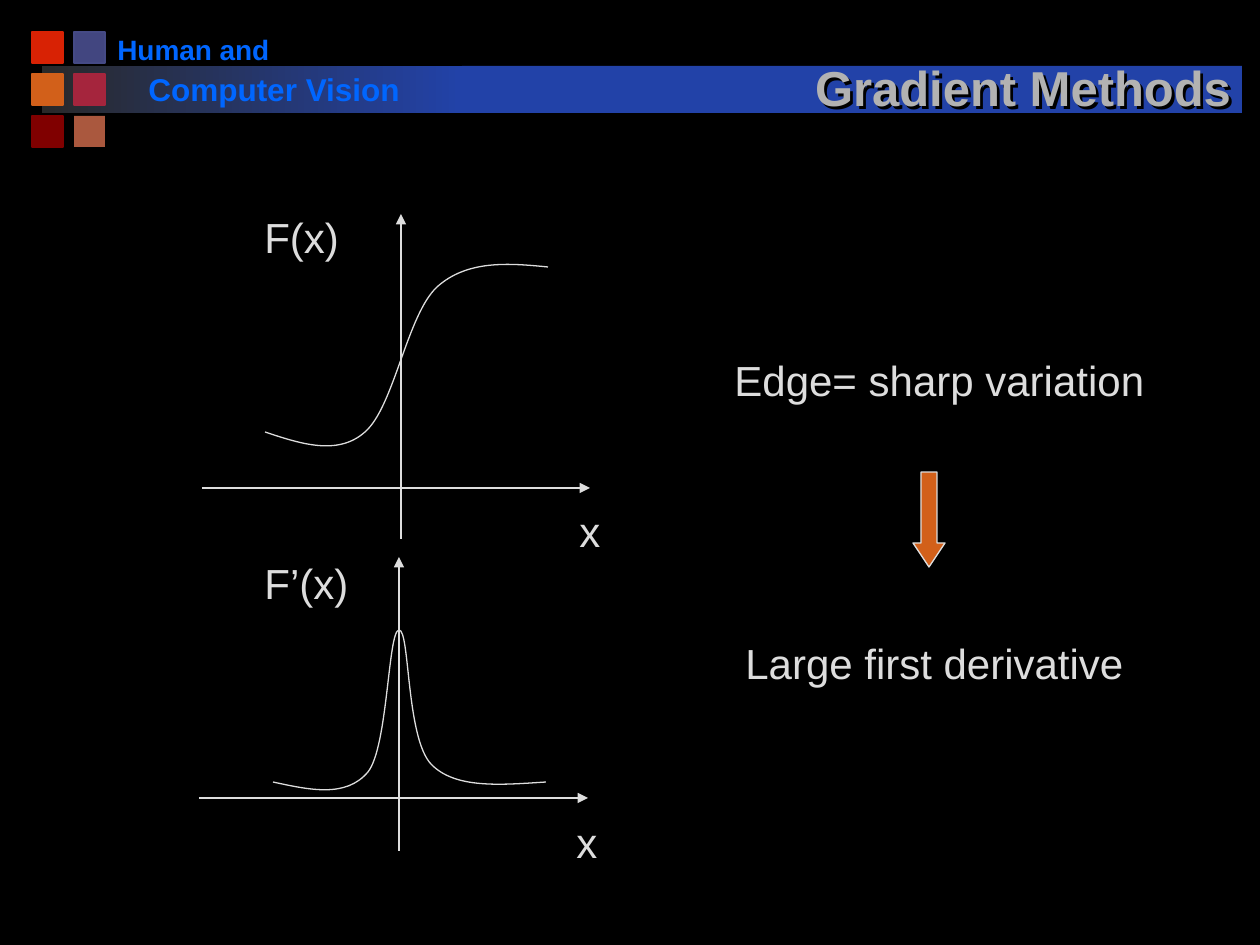
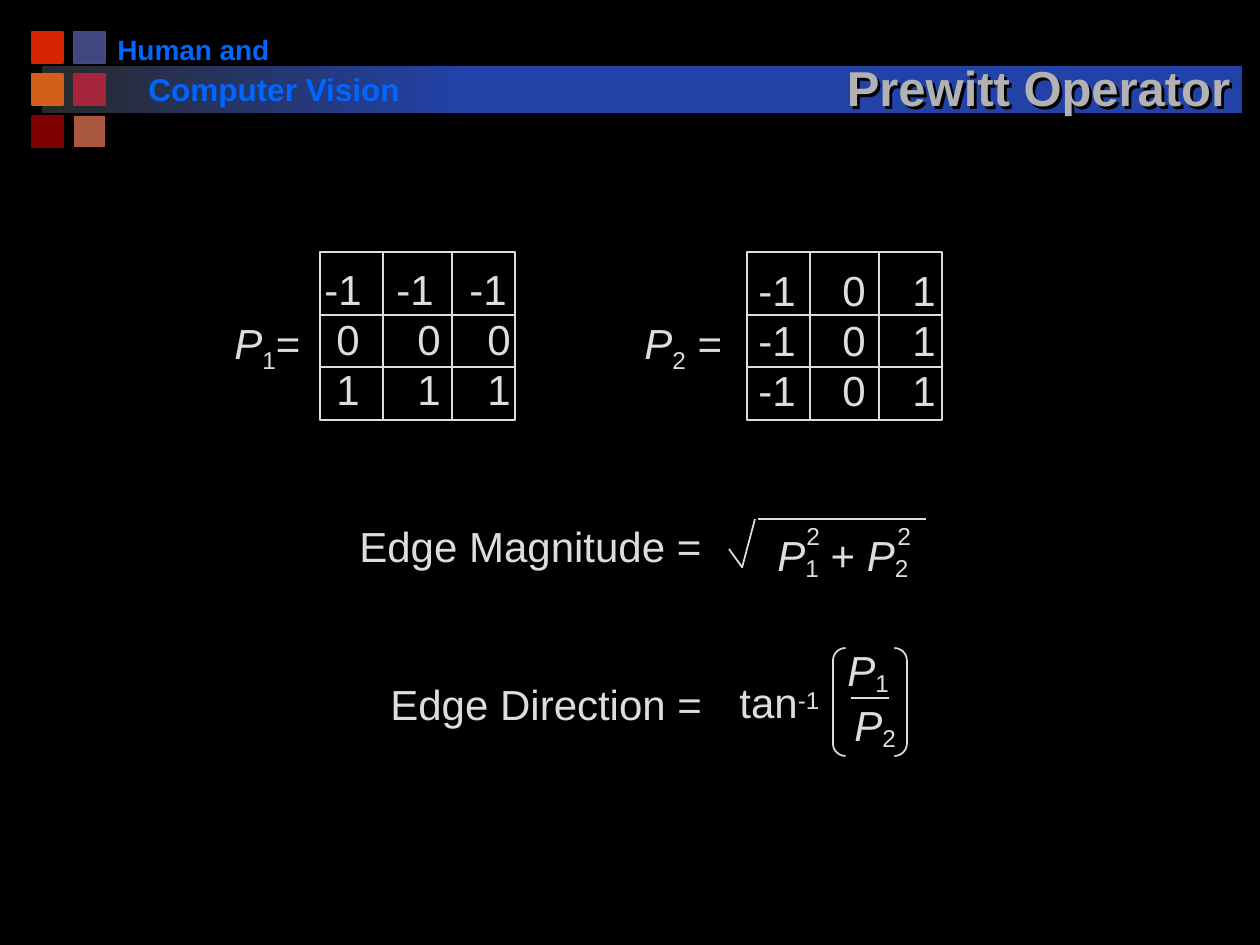
from dataclasses import dataclass
from typing import NamedTuple, Optional

from lxml import etree
from pptx import Presentation
from pptx import util as u
from pptx.dml.color import RGBColor
from pptx.enum import shapes, text
from pptx.oxml import ns

PX = u.Inches(1) / 126
FONT = "Arial"

BLACK = RGBColor(0x00, 0x00, 0x00)
INK = RGBColor(0xDD, 0xDD, 0xDD)
TITLE_GREY = RGBColor(0xB2, 0xB2, 0xB2)
COURSE_BLUE = RGBColor(0x00, 0x66, 0xFF)
BAND_BLUE = RGBColor(0x22, 0x42, 0xA8)
BAND_DARK = RGBColor(0x29, 0x29, 0x29)
RED = RGBColor(0xD8, 0x22, 0x04)
INDIGO = RGBColor(0x42, 0x46, 0x80)
INDIGO_EDGE = RGBColor(0x45, 0x4A, 0x85)
ORANGE = RGBColor(0xD2, 0x60, 0x1A)
CRIMSON = RGBColor(0xA5, 0x25, 0x3D)
MAROON = RGBColor(0x80, 0x00, 0x00)
BROWN = RGBColor(0xAA, 0x58, 0x3E)

# Rows of (fill, edge) for the squares in the corner
SQUARES = (
    ((RED, RED), (INDIGO, INDIGO_EDGE)),
    ((ORANGE, ORANGE), (CRIMSON, CRIMSON)),
    ((MAROON, MAROON), (BROWN, None)),
)


class Point(NamedTuple):
    x: int
    y: int


class Box(NamedTuple):
    left: int
    top: int
    width: int
    height: int


class Run(NamedTuple):
    words: str
    italic: bool = False
    baseline: int = 0


class WeightRow(NamedTuple):
    weights: tuple[int, ...]
    starts: tuple[int, ...]  # px from the left edge of the text


@dataclass(frozen=True)
class Label:
    box: Box
    runs: tuple[Run, ...]
    size: int = 24
    color: RGBColor = INK
    bold: bool = False


@dataclass(frozen=True)
class Plot:
    x_axis: tuple[Point, Point]
    y_axis: tuple[Point, Point]
    name: Label
    variable: Label
    curve: tuple[Point, ...]  # start, then three Bézier points per piece


@dataclass(frozen=True)
class Mask:
    left: int
    weights_box: Box
    rows: tuple[WeightRow, ...]
    name: Label


def emu(px: int) -> u.Emu:
    return u.Emu(round(px * PX))


def plain(words: str, left: int, top: int, width: int, height: int = 63,
          **style) -> Label:
    return Label(Box(left, top, width, height), (Run(words),), **style)


def indexed(index: str, drop: int, *rest: Run) -> tuple[Run, ...]:
    return (Run("P", italic=True), Run(index, baseline=drop), *rest)


# Drawing helpers
def format_run(run, size: int, color: RGBColor, bold: bool = False,
               italic: bool = False) -> None:
    style = {"name": FONT, "size": u.Pt(size), "bold": bold, "italic": italic}
    for key, value in style.items():
        setattr(run.font, key, value)
    run.font.color.rgb = color


def add_label(slide, label: Label):
    box = slide.shapes.add_textbox(*map(emu, label.box))
    box.text_frame.word_wrap = False
    for part in label.runs:
        run = box.text_frame.paragraphs[0].add_run()
        run.text = part.words
        format_run(run, label.size, label.color, label.bold, part.italic)
        if part.baseline:
            run.font._element.set("baseline", str(part.baseline * 1000))
    return box


def add_block(slide, kind, box: Box, fill: Optional[RGBColor],
              edge: Optional[RGBColor], weight: float = 1):
    block = slide.shapes.add_shape(kind, *map(emu, box))
    block.shadow.inherit = False
    if fill is None:
        block.fill.background()
    else:
        block.fill.solid()
        block.fill.fore_color.rgb = fill
    if edge is None:
        block.line.fill.background()
    else:
        block.line.color.rgb = edge
        block.line.width = u.Pt(weight)
    return block


def add_rule(slide, start: Point, end: Point, weight: float = 1,
             arrow: bool = False) -> None:
    rule = slide.shapes.add_connector(
        shapes.MSO_CONNECTOR.STRAIGHT, *map(emu, (*start, *end)))
    rule.line.color.rgb = INK
    rule.line.width = u.Pt(weight)
    if arrow:
        etree.SubElement(rule.line._get_or_add_ln(), ns.qn("a:tailEnd"),
                         type="triangle")
    etree.SubElement(rule._element.spPr, ns.qn("a:effectLst"))


def add_curve(slide, points: tuple[Point, ...]) -> None:
    builder = slide.shapes.build_freeform(*map(emu, points[0]))
    builder.add_line_segments([(emu(x), emu(y)) for x, y in points[1:]],
                              close=False)
    curve = builder.convert_to_shape()
    # Every three straight segments become one Bézier piece
    segments = list(curve._element.iter(ns.qn("a:lnTo")))
    for i in range(0, len(segments), 3):
        piece = etree.Element(ns.qn("a:cubicBezTo"))
        segments[i].addprevious(piece)
        for segment in segments[i:i + 3]:
            piece.append(segment[0])
            segment.getparent().remove(segment)
    curve.shadow.inherit = False
    curve.fill.background()
    curve.line.color.rgb = INK
    curve.line.width = u.Pt(0.75)


def add_plot(slide, plot: Plot) -> None:
    for axis in (plot.x_axis, plot.y_axis):
        add_rule(slide, *axis, weight=0.75, arrow=True)
    add_label(slide, plot.name)
    add_label(slide, plot.variable)
    add_curve(slide, plot.curve)


def add_mask(slide, mask: Mask) -> None:
    frame = slide.shapes.add_textbox(*map(emu, mask.weights_box)).text_frame
    frame.word_wrap = True
    for i, row in enumerate(mask.rows):
        paragraph = frame.add_paragraph() if i else frame.paragraphs[0]
        tabs = etree.SubElement(paragraph._p.get_or_add_pPr(), ns.qn("a:tabLst"))
        for start in filter(None, row.starts):
            etree.SubElement(tabs, ns.qn("a:tab"), pos=str(emu(start)), algn="l")
        run = paragraph.add_run()
        run.text = ("\t" if row.starts[0] else "") + "\t".join(map(str, row.weights))
        format_run(run, 24, INK)

    left, top, right, bottom = mask.left, 252, mask.left + 195, 420
    add_block(slide, shapes.MSO_SHAPE.RECTANGLE,
              Box(left, top, right - left, bottom - top), None, INK, 0.75)
    for y, x in ((315, left + 63), (367, left + 132)):
        add_rule(slide, Point(left, y), Point(right, y), 0.75)
        add_rule(slide, Point(x, top), Point(x, bottom), 0.75)
    add_label(slide, mask.name)


# Shared frame: background, bands, squares, course name and title
def add_title(slide, title: Label) -> None:
    box = add_label(slide, title)
    box.text_frame.vertical_anchor = text.MSO_ANCHOR.BOTTOM
    box.text_frame.paragraphs[0].alignment = text.PP_ALIGN.CENTER
    effects = etree.SubElement(box._element.spPr, ns.qn("a:effectLst"))
    shadow = etree.SubElement(effects, ns.qn("a:outerShdw"),
                              dist=str(emu(4)), dir="2700000")
    etree.SubElement(shadow, ns.qn("a:srgbClr"), val=str(BLACK))


def new_slide(deck, title: str, left: int, width: int):
    slide = deck.slides.add_slide(deck.slide_layouts[6])
    slide.background.fill.solid()
    slide.background.fill.fore_color.rgb = BLACK
    square = shapes.MSO_SHAPE.RECTANGLE
    fade = add_block(slide, square, Box(42, 66, 420, 47), BAND_BLUE, None)
    fade.fill.gradient()
    fade.fill.gradient_angle = 0
    for stop, color in zip(fade.fill.gradient_stops, (BAND_DARK, BAND_BLUE)):
        stop.color.rgb = color
    for r, row in enumerate(SQUARES):
        for c, (fill, edge) in enumerate(row):
            add_block(slide, square, Box(32 + 42 * c, 32 + 42 * r, 31, 31),
                      fill, edge)
    course = {"color": COURSE_BLUE, "bold": True}
    add_label(slide, plain("Human and", 105, 26, 179, 47, size=16, **course))
    add_label(slide, plain("Computer Vision", 136, 64, 319, 50, size=18,
                           **course)).text_frame.word_wrap = True
    add_block(slide, square, Box(462, 66, 780, 47), BAND_BLUE, None)
    add_title(slide, plain(title, left, 39, width, 84, size=28,
                           color=TITLE_GREY, bold=True))
    return slide


# Slide 1: an edge and its derivative
def build_gradient_methods(deck) -> None:
    slide = new_slide(deck, "Gradient Methods", 786, 474)
    add_plot(slide, Plot(
        (Point(202, 488), Point(590, 488)), (Point(401, 539), Point(401, 214)),
        plain("F(x)", 252, 205, 100), plain("x", 567, 499, 47),
        (Point(265, 432), Point(301, 444), Point(338, 456), Point(365, 432),
         Point(394, 407), Point(407, 315), Point(437, 287),
         Point(467, 260), Point(508, 263), Point(548, 267))))
    add_plot(slide, Plot(
        (Point(199, 798), Point(588, 798)), (Point(399, 851), Point(399, 557)),
        plain("F’(x)", 252, 551, 110), plain("x", 564, 810, 47),
        (Point(273, 782), Point(310, 790), Point(346, 798), Point(368, 772),
         Point(388, 747), Point(388, 631), Point(399, 630),
         Point(410, 629), Point(406, 737), Point(431, 764),
         Point(455, 789), Point(500, 785), Point(546, 782))))
    add_label(slide, plain("Edge= sharp variation", 722, 348, 436))
    implies = add_block(slide, shapes.MSO_SHAPE.DOWN_ARROW,
                        Box(913, 472, 32, 95), ORANGE, INK, 0.75)
    implies.adjustments[0], implies.adjustments[1] = 0.5, 0.75
    add_label(slide, plain("Large first derivative", 733, 631, 403))


# Slide 2: the two masks and the edge formulas
def build_prewitt_operator(deck) -> None:
    slide = new_slide(deck, "Prewitt Operator", 833, 411)
    add_mask(slide, Mask(
        320, Box(312, 257, 223, 164),
        (WeightRow((-1,) * 3, (0, 72, 145)),
         WeightRow((0,) * 3, (12, 93, 163)),
         WeightRow((1,) * 3, (12, 93, 163))),
        Label(Box(222, 311, 92, 63), indexed("1", -25, Run("=")))))
    add_mask(slide, Mask(
        747, Box(746, 258, 214, 164),
        (WeightRow((-1, 0, 1), (0, 84, 154)),) * 3,
        Label(Box(632, 311, 103, 63), indexed("2", -25, Run(" =")))))

    radicand = indexed("1", -15, Run(" + "), *indexed("2", -15))
    for label in (
        plain("Edge Magnitude =", 347, 514, 379),
        plain("Edge Direction =", 378, 672, 349),
        Label(Box(765, 523, 160, 63), radicand),
        plain("2", 794, 515, 39, 42, size=14),
        plain("2", 885, 515, 39, 42, size=14),
        Label(Box(727, 670, 108, 63), (Run("tan"), Run("-1", baseline=20))),
        Label(Box(835, 638, 69, 63), indexed("1", -15)),
        Label(Box(842, 693, 69, 63), indexed("2", -15)),
    ):
        add_label(slide, label)

    root = ((Point(926, 519), Point(758, 519)),
            (Point(755, 519), Point(742, 568)),
            (Point(729, 549), Point(742, 567)))
    fraction_bar = Point(851, 698), Point(889, 698)
    for start, end in (*root, fraction_bar):
        add_rule(slide, start, end)
    brackets = add_block(slide, shapes.MSO_SHAPE.DOUBLE_BRACKET,
                         Box(833, 648, 74, 108), None, INK)
    brackets.adjustments[0] = 0.17


def main() -> None:
    deck = Presentation()
    deck.slide_width, deck.slide_height = emu(1260), emu(945)
    build_gradient_methods(deck)
    build_prewitt_operator(deck)
    deck.save("out.pptx")


if __name__ == "__main__":
    main()
